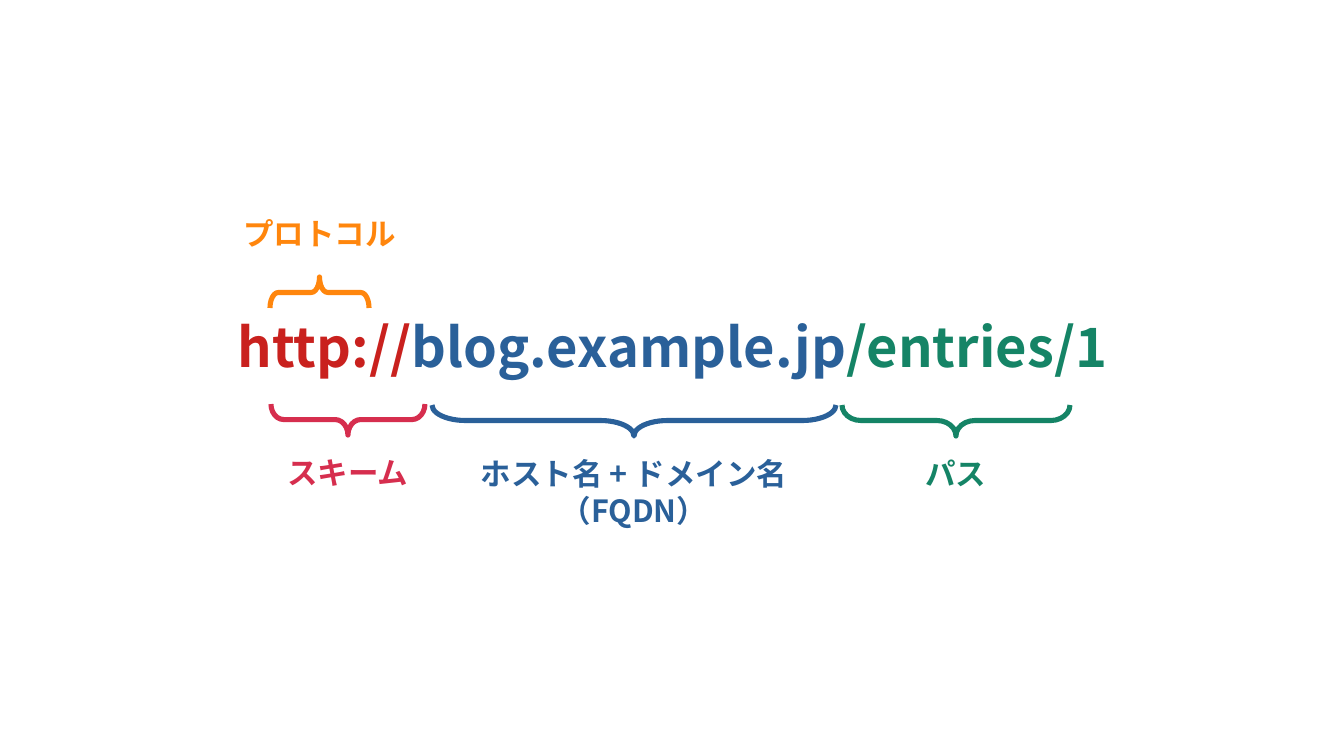
from pptx import Presentation
from pptx.dml.color import RGBColor
from pptx.enum.shapes import MSO_SHAPE as Shape
from pptx.enum.text import PP_ALIGN as Align
from pptx.oxml.ns import qn
from pptx.util import Pt
from lxml.etree import SubElement

FONT = "Noto Sans CJK SC"
RED, PINK, BLUE, GREEN, ORANGE = "C9211E", "D62E4E", "2A6099", "158466", "FF860D"
BRACE_DEPTH = 31


def px(length):
    return round(length * 914400 / 122)


def color(value):
    return RGBColor.from_string(value)


def add_text(page, box, spans, size):
    frame = page.shapes.add_textbox(*map(px, box)).text_frame
    frame.word_wrap = True
    para = frame.paragraphs[0]
    para.alignment = Align.CENTER
    for text, tint in spans:
        span = para.add_run()
        span.text = text
        font = span.font
        font.name, font.size, font.bold = FONT, Pt(size), True
        font.color.rgb = color(tint)
        SubElement(font._element, qn("a:ea")).set("typeface", FONT)


def add_brace(page, left, top, width, tint, upward):
    shift = (width - BRACE_DEPTH) / 2
    brace = page.shapes.add_shape(
        Shape.LEFT_BRACE, px(left + shift), px(top - shift), px(BRACE_DEPTH), px(width))
    brace.rotation = 90 if upward else 270
    brace.adjustments[0] = width / 12 / BRACE_DEPTH
    brace.shadow.inherit = False
    brace.fill.background()
    brace.line.color.rgb = color(tint)
    brace.line.width = Pt(3)


def add_url_part(page, left, top, width, text, tint, label_width, label_height=56, upward=False):
    add_brace(page, left, top, width, tint, upward)
    label_left = left + (width - label_width) / 2
    label_top = top - 68 if upward else top + 44
    add_text(page, (label_left, label_top, label_width, label_height), [(text, tint)], 18)


def add_url_diagram(page, left, top):
    add_text(page, (left, top, 997, 90),
             [("http://", RED), ("blog.example.jp", BLUE), ("/entries/1", GREEN)], 32)
    below = top + 98
    add_url_part(page, left + 668, below, 228, "パス", GREEN, 176)
    add_url_part(page, left + 258, below, 404, "ホスト名 + ドメイン名（FQDN）", BLUE, 381, 101)
    add_url_part(page, left + 97, below - 1, 154, "スキーム", PINK, 176)
    add_url_part(page, left + 96, top - 30, 99, "プロトコル", ORANGE, 187, upward=True)


def main():
    deck = Presentation()
    deck.slide_width, deck.slide_height = px(1344), px(756)
    page = deck.slides.add_slide(deck.slide_layouts[6])
    add_url_diagram(page, 174, 307)
    deck.save("out.pptx")


if __name__ == "__main__":
    main()
